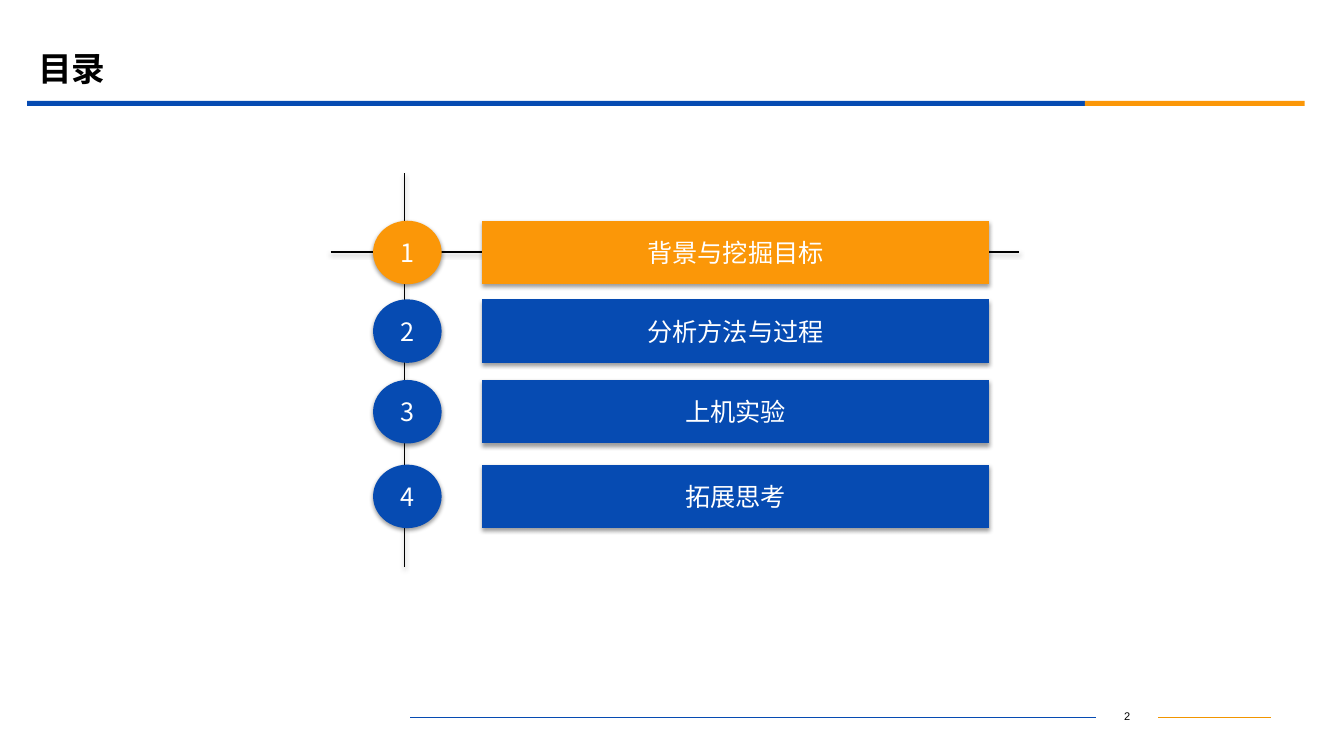
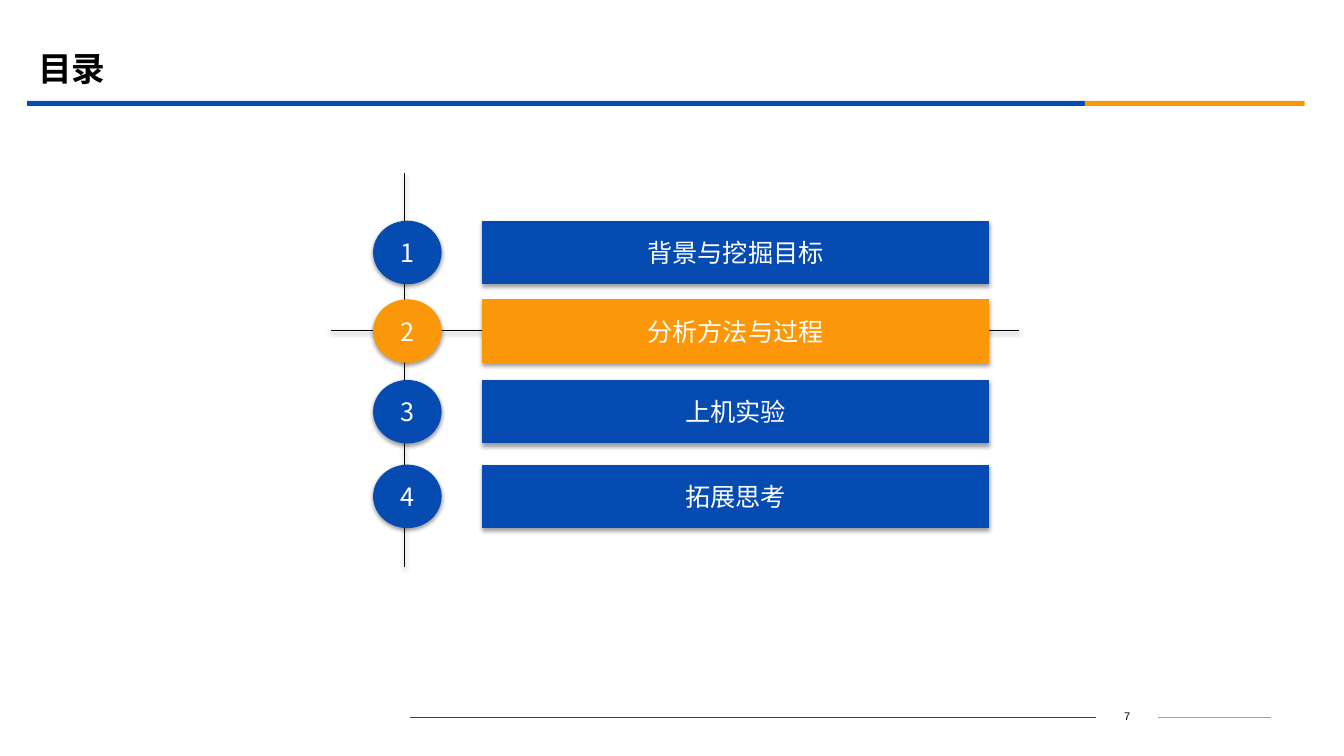
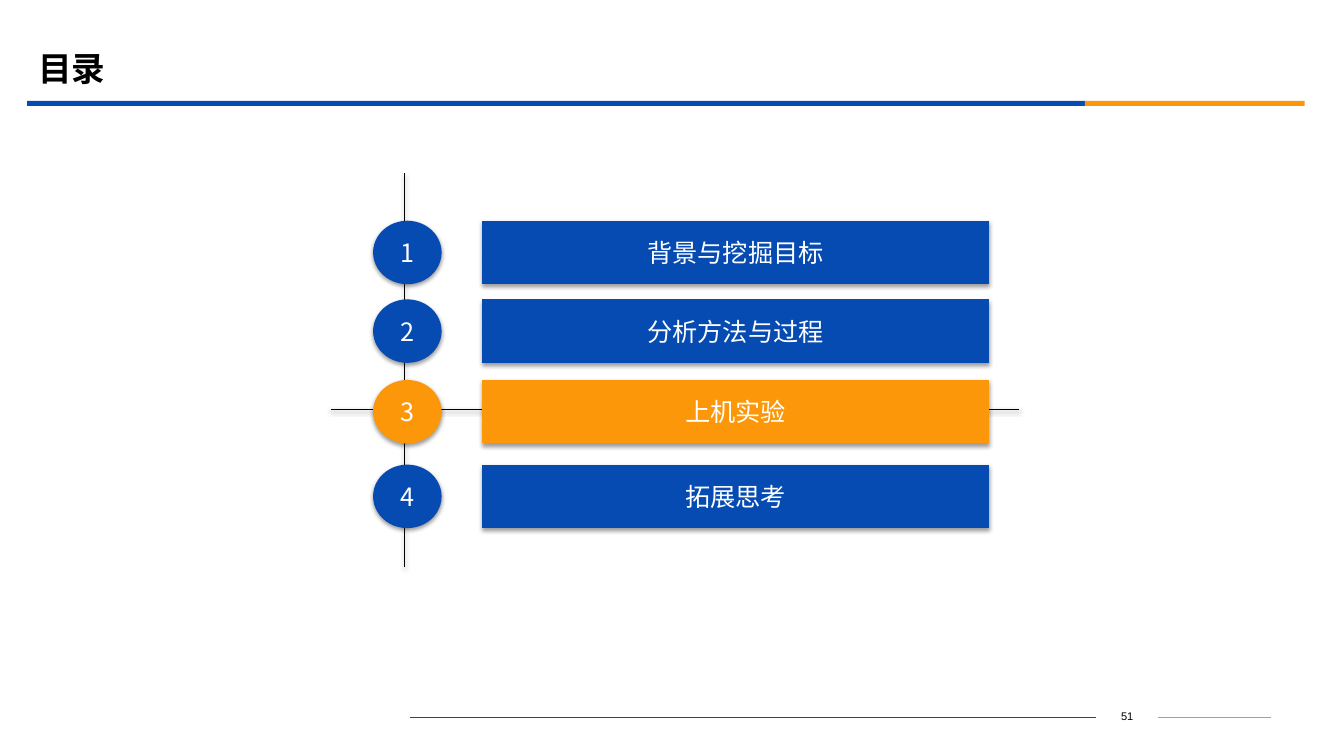
import dataclasses

import pptx
import pptx.dml.color
import pptx.enum.shapes
import pptx.enum.text
import pptx.oxml
import pptx.oxml.ns
import pptx.util

Inches = pptx.util.Inches
Pt = pptx.util.Pt
RGB = pptx.dml.color.RGBColor.from_string
SHAPE = pptx.enum.shapes.MSO_SHAPE
ALIGN = pptx.enum.text.PP_ALIGN
MIDDLE = pptx.enum.text.MSO_ANCHOR.MIDDLE
qn = pptx.oxml.ns.qn


@dataclasses.dataclass(frozen=True)
class Theme:
    blue = RGB("064BB2")
    orange = RGB("FB9708")
    footer_orange = RGB("F19500")
    black = RGB("000000")
    white = RGB("FFFFFF")
    title_font = "Calibri"
    item_font = "Noto Sans CJK SC"
    number_font = "Arial"
    title_size = Pt(24)
    item_size = Pt(18)
    number_size = Pt(7.9)
    line_width = Pt(0.75)


THEME = Theme()
SOFT_SHADOW = (
    '<a:outerShdw blurRad="40000" dist="20000" dir="5400000" rotWithShape="0">'
    '<a:srgbClr val="000000"><a:alpha val="38000"/></a:srgbClr></a:outerShdw>'
)


def add_block(slide, kind, place, color, effect=""):
    """Add a borderless filled shape; effect is the XML of its shadow, if any."""
    block = slide.shapes.add_shape(kind, *map(Inches, place))
    block.fill.solid()
    block.fill.fore_color.rgb = color
    block.line.fill.background()
    block.element.spPr.append(pptx.oxml.parse_xml(
        f'<a:effectLst {pptx.oxml.ns.nsdecls("a")}>{effect}</a:effectLst>'))
    return block


def add_line(slide, ends, color, effect=""):
    """Add a thin straight line; effect is the XML of its shadow, if any."""
    line = slide.shapes.add_connector(
        pptx.enum.shapes.MSO_CONNECTOR.STRAIGHT, *map(Inches, ends))
    line.line.color.rgb = color
    line.line.width = THEME.line_width
    line.element.spPr.append(pptx.oxml.parse_xml(
        f'<a:effectLst {pptx.oxml.ns.nsdecls("a")}>{effect}</a:effectLst>'))
    return line


ITEMS = ["背景与挖掘目标", "分析方法与过程", "上机实验", "拓展思考"]
ROW_TOPS = [2.19, 2.97, 3.77, 4.61]
ROW_HEIGHT = 0.63
FIRST_MARKER, MARKER_STEP = 2.5, 0.78
PAGE_NUMBERS = ["2", "7", "51"]

deck = pptx.Presentation()
deck.slide_width = Inches(13.33)
deck.slide_height = Inches(7.5)
layout = deck.slide_layouts.get_by_name("Title Only")
pages = [deck.slides.add_slide(layout) for number in PAGE_NUMBERS]

# Bands and footer lines are drawn once, then moved into the shared layout.
shared = [
    add_line(pages[0], (11.49, 7.12, 12.61, 7.12), THEME.footer_orange),
    add_line(pages[0], (4.07, 7.12, 10.87, 7.12), THEME.blue),
    add_block(pages[0], SHAPE.RECTANGLE, (0.27, 1, 10.49, 0.05), THEME.blue),
    add_block(pages[0], SHAPE.RECTANGLE, (10.76, 1, 2.18, 0.05), THEME.orange),
]
for shape_id, part in enumerate(shared, start=101):
    part.element.xpath("./*/p:cNvPr")[0].set("id", str(shape_id))
    layout.shapes.element.append(part.element)

for current, (page, number) in enumerate(zip(pages, PAGE_NUMBERS)):
    title = page.shapes.title
    title.left, title.top = Inches(0.28), Inches(0.39)
    title.width, title.height = Inches(12), Inches(0.58)
    title.text_frame.text = "目录"
    title.text_frame.vertical_anchor = MIDDLE
    para = title.text_frame.paragraphs[0]
    para.alignment = ALIGN.LEFT
    para.font.size = THEME.title_size
    para.font.bold = True
    para.font.name = THEME.title_font
    para.font.color.rgb = THEME.black

    number_box = page.shapes.add_textbox(
        Inches(10.87), Inches(6.99), Inches(0.62), Inches(0.25))
    number_box.text_frame.word_wrap = True
    para = number_box.text_frame.paragraphs[0]
    para.text = number
    para.alignment = ALIGN.CENTER
    para.font.size = THEME.number_size
    para.font.name = THEME.number_font
    para.font.color.rgb = THEME.black

    marker = FIRST_MARKER + MARKER_STEP * current
    add_line(page, (4.01, 1.72, 4.01, 5.63), THEME.black, SOFT_SHADOW)
    add_line(page, (3.28, marker, 10.11, marker), THEME.black, SOFT_SHADOW)

    for row, (item, top) in enumerate(zip(ITEMS, ROW_TOPS)):
        color = THEME.orange if row == current else THEME.blue
        for kind, left, width, text in (
            (SHAPE.OVAL, 3.7, 0.68, str(row + 1)),
            (SHAPE.ACTION_BUTTON_CUSTOM, 4.78, 5.03, item),
        ):
            block = add_block(page, kind, (left, top, width, ROW_HEIGHT),
                              color, SOFT_SHADOW)
            block.text_frame.text = text
            block.text_frame.word_wrap = False
            block.text_frame.vertical_anchor = MIDDLE
            para = block.text_frame.paragraphs[0]
            para.alignment = ALIGN.CENTER
            para.font.size = THEME.item_size
            para.font.name = THEME.item_font
            para.font.color.rgb = THEME.white

    # Chinese characters take their font from a:ea rather than a:latin.
    for latin in list(page.shapes.element.iter(qn("a:latin"))):
        east_asian = latin.makeelement(qn("a:ea"), {"typeface": THEME.item_font})
        latin.addnext(east_asian)

deck.save("out.pptx")
